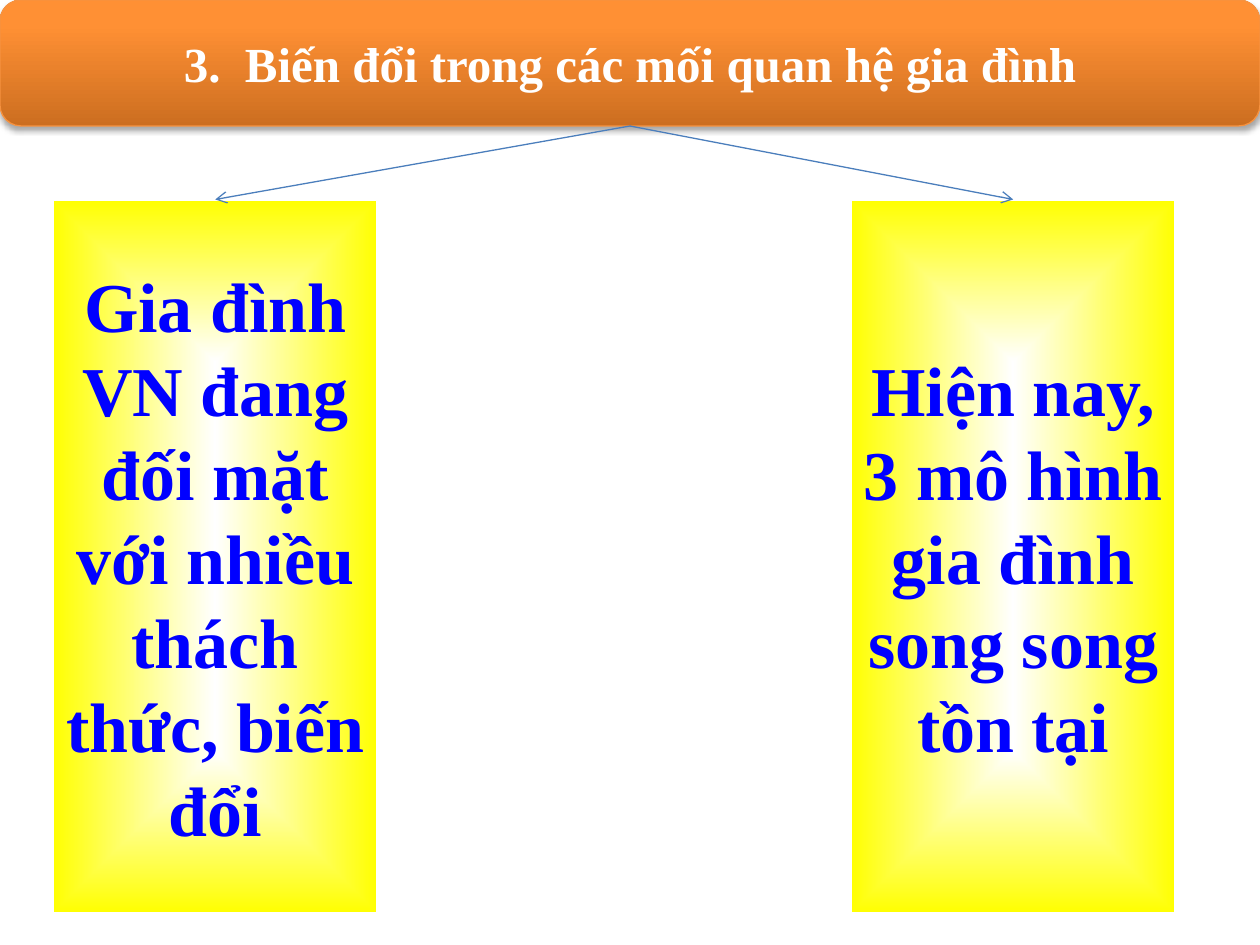
from lxml import etree
from pptx import Presentation
from pptx import util as u
from pptx.dml.color import RGBColor
from pptx.enum import shapes, text
from pptx.oxml import parse_xml
from pptx.oxml.ns import nsdecls, qn

CELL = u.Inches(1) // 12  # the slide is a grid of 120 columns by 90 rows
BOX_TOP, BOX_WIDTH, BOX_HEIGHT = 19, 31, 68


def color(hex_value):
    return RGBColor.from_string(hex_value)


def add_block(kind, cells, words, size, font_color, line, stops, direction):
    """Add a gradient-filled shape with centred bold text; cells is left, top, width, height."""
    shape = slide.shapes.add_shape(kind, *[n * CELL for n in cells])
    shape.shadow.inherit = False
    stop_xml = "".join(f'<a:gs pos="{share * 1000}"><a:srgbClr val="{value}"/></a:gs>'
                       for share, value in stops)
    shape._element.spPr.insert(2, parse_xml(
        f'<a:gradFill {nsdecls("a")} rotWithShape="1"><a:gsLst>{stop_xml}</a:gsLst>'
        f'{direction}</a:gradFill>'))
    shape.line.color.rgb = color(line[0])
    shape.line.width = u.Pt(line[1])
    frame = shape.text_frame
    frame.word_wrap = True
    frame.vertical_anchor = text.MSO_ANCHOR.MIDDLE
    frame.text = words
    paragraph = frame.paragraphs[0]
    paragraph.alignment = text.PP_ALIGN.CENTER
    font = paragraph.runs[0].font
    font.name, font.size, font.bold = "Times New Roman", u.Pt(size), True
    font.color.rgb = color(font_color)
    return shape


presentation = Presentation()
presentation.slide_width = 120 * CELL
presentation.slide_height = 90 * CELL
slide = presentation.slides.add_slide(presentation.slide_layouts[6])

# Title bar with a soft shadow below it
title = add_block(
    shapes.MSO_SHAPE.ROUNDED_RECTANGLE, (0, 0, 120, 12),
    "3.  Biến đổi trong các mối quan hệ gia đình", 28, "FFFFFF", ("F69240", 0.75),
    [(0, "CC6E20"), (80, "FF9034"), (100, "FF9136")],
    '<a:lin ang="16200000" scaled="0"/>')
title._element.spPr.find(qn("a:effectLst")).append(parse_xml(
    f'<a:outerShdw {nsdecls("a")} blurRad="{u.Pt(3.1)}" dist="{u.Pt(1.8)}" dir="5400000" '
    'rotWithShape="0"><a:srgbClr val="000000"><a:alpha val="35000"/></a:srgbClr></a:outerShdw>'))

# Two yellow boxes, each reached by an arrow from the title bar
boxes = [
    (5, "Gia đình VN đang đối mặt với nhiều thách thức, biến đổi"),
    (81, "Hiện nay, 3 mô hình gia đình song song tồn tại"),
]
for left, words in boxes:
    box = add_block(
        shapes.MSO_SHAPE.RECTANGLE, (left, BOX_TOP, BOX_WIDTH, BOX_HEIGHT),
        words, 40, "0000FF", ("FFFFFF", 2), [(0, "FFFFFF"), (100, "FFFF00")],
        '<a:path path="shape"><a:fillToRect l="50000" t="50000" r="50000" b="50000"/></a:path>')
    arrow = slide.shapes.add_connector(shapes.MSO_CONNECTOR.STRAIGHT, 0, 0, CELL, CELL)
    arrow.begin_connect(title, 2)
    arrow.end_connect(box, 0)
    arrow.line.color.rgb = color("4B7EBC")
    arrow.line.width = u.Pt(0.75)
    etree.SubElement(arrow.line._get_or_add_ln(), qn("a:tailEnd"), type="arrow")
    etree.SubElement(arrow._element.spPr, qn("a:effectLst"))

presentation.save("out.pptx")
